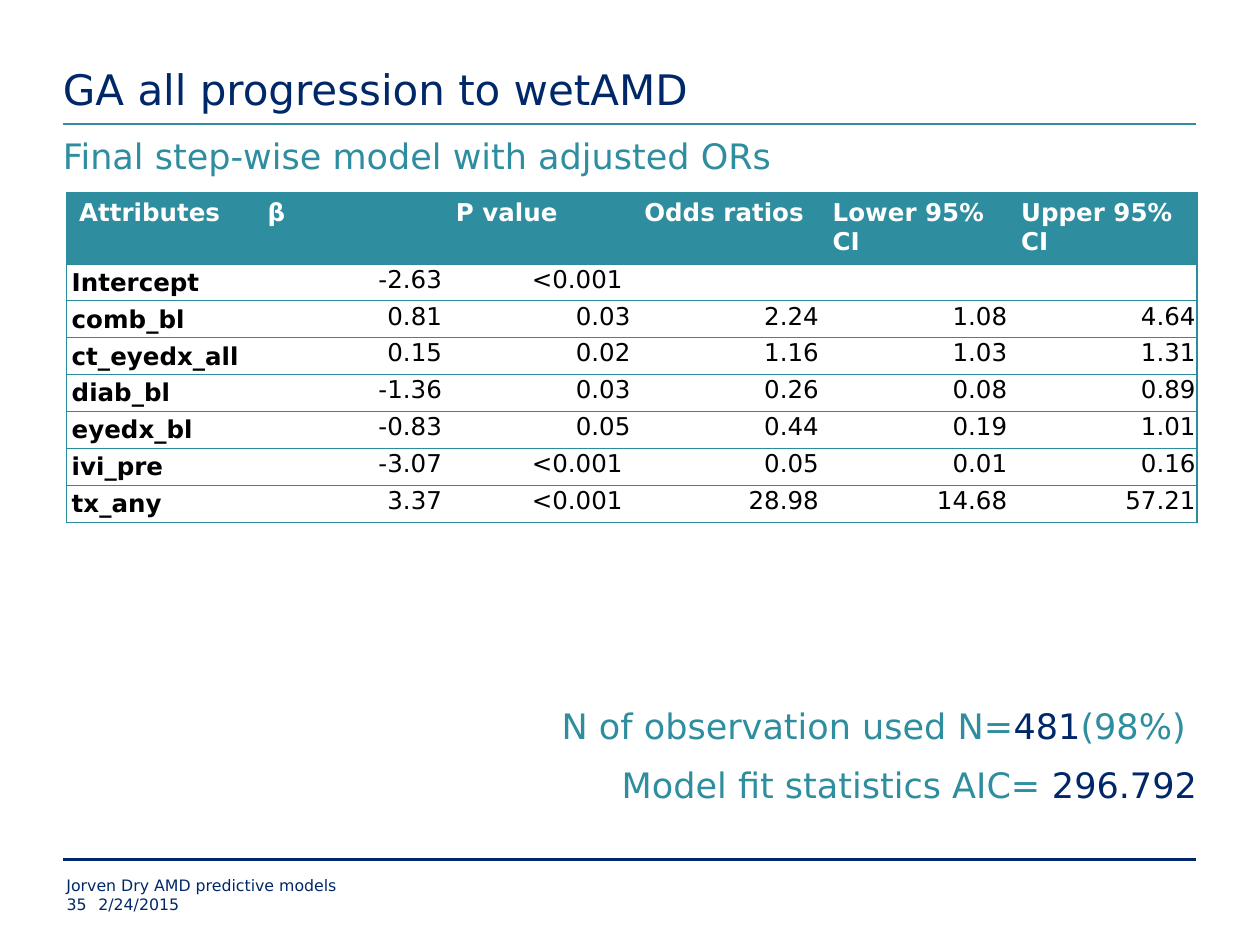
from lxml import etree
from pptx import Presentation
from pptx import util as u
from pptx.dml.color import RGBColor
from pptx.enum import shapes, text
from pptx.oxml import ns

NAVY = RGBColor(0x00, 0x28, 0x68)
TEAL = RGBColor(0x2E, 0x8D, 0x9E)
BORDER = RGBColor(0x2A, 0x8C, 0x9D)
WHITE = RGBColor(0xFF, 0xFF, 0xFF)
BLACK = RGBColor(0x00, 0x00, 0x00)

RIGHT = text.PP_ALIGN.RIGHT
LEFT = text.PP_ALIGN.LEFT

HEADINGS = ["Attributes", "β", "P value", "Odds ratios", "Lower 95% CI", "Upper 95% CI"]
COEFFICIENTS = [
    ["Intercept", "-2.63", "<0.001 ", "", "", ""],
    ["comb_bl", "0.81", "0.03", "2.24", "1.08", "4.64"],
    ["ct_eyedx_all", "0.15", "0.02", "1.16", "1.03", "1.31"],
    ["diab_bl", "-1.36", "0.03", "0.26", "0.08", "0.89"],
    ["eyedx_bl", "-0.83", "0.05", "0.44", "0.19", "1.01"],
    ["ivi_pre", "-3.07", "<0.001 ", "0.05", "0.01", "0.16"],
    ["tx_any", "3.37", "<0.001 ", "28.98", "14.68", "57.21"],
]

HEADING_STYLE = {
    "margins": (7.2, 3.6, 7.2, 3.6), "colour": WHITE, "bold": True,
    "paragraph": {"alignment": LEFT},
}
ATTRIBUTE_STYLE = {
    "margins": (3, 0, 3, 0), "colour": BLACK, "bold": True,
    "paragraph": {"alignment": LEFT, "line_spacing": 1.15,
                  "space_before": u.Pt(3), "space_after": u.Pt(3)},
}
VALUE_STYLE = {
    "margins": (0.75, 0.75, 0.75, 0), "colour": BLACK, "bold": False,
    "paragraph": {"alignment": RIGHT},
}


def apply(target, values):
    for name, value in values.items():
        setattr(target, name, value)


def set_margins(target, margins):
    sides = ("margin_left", "margin_top", "margin_right", "margin_bottom")
    apply(target, {side: u.Pt(margin) for side, margin in zip(sides, margins)})


class ModelSlide:
    font_name = "DejaVu Sans"
    border_width = 0.75

    def __init__(self, presentation):
        self.slide = presentation.slides.add_slide(presentation.slide_layouts[6])

    def style_font(self, font, size, colour, bold=False):
        apply(font, {"name": self.font_name, "size": u.Pt(size), "bold": bold})
        font.color.rgb = colour

    def rule(self, left, right, y, colour):
        line = self.slide.shapes.add_connector(
            shapes.MSO_CONNECTOR.STRAIGHT, u.Pt(left), u.Pt(y), u.Pt(right), u.Pt(y))
        line.line.color.rgb = colour
        line.line.width = u.Pt(1.5)
        etree.SubElement(line._element.spPr, ns.qn("a:effectLst"))

    def textbox(self, box, paragraphs, size, align=LEFT, anchor=text.MSO_ANCHOR.TOP):
        frame = self.slide.shapes.add_textbox(*map(u.Pt, box)).text_frame
        apply(frame, {"word_wrap": True, "vertical_anchor": anchor})
        set_margins(frame, (0, 0, 0, 0))
        for index, runs in enumerate(paragraphs):
            paragraph = frame.add_paragraph() if index else frame.paragraphs[0]
            paragraph.alignment = align
            if index:
                paragraph.space_before = u.Pt(size / 2)
            for wording, colour in runs:
                run = paragraph.add_run()
                run.text = wording
                self.style_font(run.font, size, colour)

    def borders(self, cell, visible):
        properties = cell._tc.get_or_add_tcPr()
        for index, side in enumerate("LRTB"):
            line = etree.Element(ns.qn(f"a:ln{side}"), w=str(u.Pt(self.border_width)))
            if side in visible:
                fill = etree.SubElement(line, ns.qn("a:solidFill"))
                etree.SubElement(fill, ns.qn("a:srgbClr"), val=str(BORDER))
            else:
                etree.SubElement(line, ns.qn("a:noFill"))
            properties.insert(index, line)

    def cell(self, cell, wording, style, fill, visible):
        set_margins(cell, style["margins"])
        if fill is None:
            cell.fill.background()
        else:
            cell.fill.solid()
            cell.fill.fore_color.rgb = fill
        paragraph = cell.text_frame.paragraphs[0]
        apply(paragraph, style["paragraph"])
        self.style_font(paragraph.font, 14, style["colour"], style["bold"])
        if wording:
            run = paragraph.add_run()
            run.text = wording
            self.style_font(run.font, 14, style["colour"], style["bold"])
        else:
            paragraph._p.get_or_add_endParaRPr().set("sz", "1400")
        self.borders(cell, visible)

    def table(self, left, top, width, heading_height, row_height, headings, rows):
        height = heading_height + row_height * len(rows)
        table = self.slide.shapes.add_table(
            len(rows) + 1, len(headings),
            u.Pt(left), u.Pt(top), u.Pt(width), u.Pt(height)).table
        apply(table, {"first_row": True, "horz_banding": False})
        for row_index, values in enumerate([headings] + rows):
            table.rows[row_index].height = u.Pt(row_height if row_index else heading_height)
            for column, wording in enumerate(values):
                visible = "TB" + ("L" if column == 0 else "")
                visible += "R" if column == len(headings) - 1 else ""
                if row_index == 0:
                    style, fill = HEADING_STYLE, TEAL
                else:
                    style, fill = (VALUE_STYLE if column else ATTRIBUTE_STYLE), None
                self.cell(table.cell(row_index, column), wording, style, fill, visible)


def main():
    presentation = Presentation()
    apply(presentation, {"slide_width": u.Pt(720), "slide_height": u.Pt(540)})
    page = ModelSlide(presentation)

    page.rule(36, 683.5, 70.8, TEAL)
    page.rule(36, 683.5, 491, NAVY)
    page.textbox((36, 0, 648, 65), [[("GA all progression to wetAMD", NAVY)]], 24,
                 anchor=text.MSO_ANCHOR.BOTTOM)
    page.textbox((36, 77, 648, 35),
                 [[("Final step-wise model with adjusted ORs", TEAL)]], 20)
    page.table(38, 110, 646, 40, 21.1, HEADINGS, COEFFICIENTS)
    page.textbox((36, 402.5, 648, 70), [
        [("N of observation used N=", TEAL), ("481", NAVY), ("(98%) ", TEAL)],
        [("Model fit statistics AIC=", TEAL), (" 296.792", NAVY)],
    ], 20, RIGHT)

    page.textbox((38, 500.5, 540, 11), [[("Jorven Dry AMD predictive models", NAVY)]], 9)
    page.textbox((38, 511.2, 18, 11), [[("35", NAVY)]], 9)
    page.textbox((56.2, 511.2, 522, 11), [[("2/24/2015", NAVY)]], 9)

    presentation.save("out.pptx")


if __name__ == "__main__":
    main()
